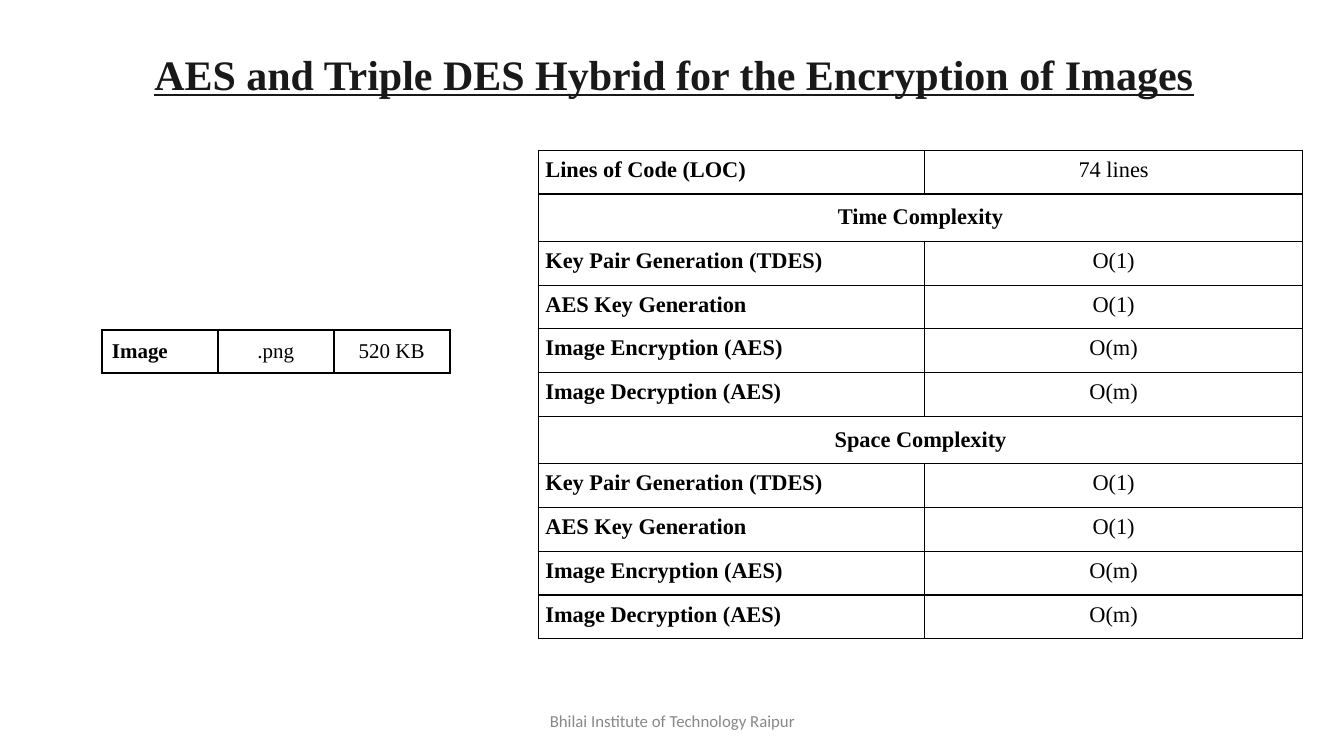
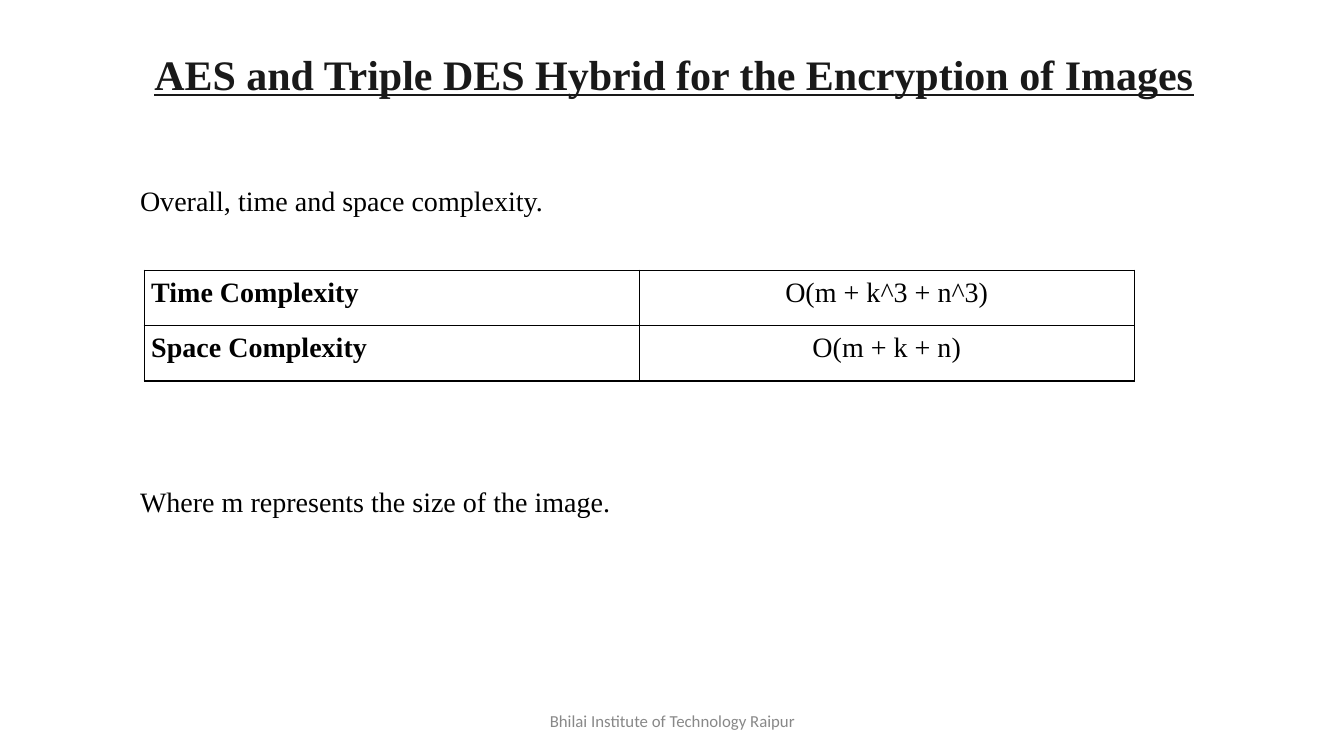
from lxml import etree
from pptx import Presentation
from pptx.dml.color import RGBColor
from pptx.enum.text import MSO_ANCHOR, MSO_AUTO_SIZE, PP_ALIGN
from pptx.oxml.ns import qn
from pptx.util import Inches, Pt

COLORS = {"title": "191919", "text": "000000", "border": "000000", "footer": "888888"}
SERIF, SANS = "Times New Roman", "Calibri"
TITLE = "AES and Triple DES Hybrid for the Encryption of Images"
FOOTER = "Bhilai Institute of Technology Raipur"
LEFT, CENTER, JUSTIFY = PP_ALIGN.LEFT, PP_ALIGN.CENTER, PP_ALIGN.JUSTIFY


class Deck:
    def __init__(self):
        self.prs = Presentation()
        self.prs.slide_width, self.prs.slide_height = Inches(13.33), Inches(7.5)
        self.s = None

    def add_slide(self, title):
        self.s = self.prs.slides.add_slide(self.prs.slide_layouts[5])
        sp = self.s.shapes.title
        sp.left, sp.top = Inches(1.43), Inches(0.38)
        sp.width, sp.height = Inches(11.16), Inches(0.63)
        self.fill_frame(sp.text_frame, title, 30, "title", bold=True, underline=True)
        self.add_text(FOOTER, 4.42, 6.95, 4.5, 0.4, 12, "footer", font=SANS,
                      align=CENTER, anchor=MSO_ANCHOR.MIDDLE, inset=0.05)

    def fill_frame(self, tf, text, size, color="text", anchor=MSO_ANCHOR.TOP,
                   inset=0.1, **style):
        frame = {"word_wrap": True, "auto_size": MSO_AUTO_SIZE.NONE,
                 "vertical_anchor": anchor,
                 "margin_left": Inches(0.1), "margin_right": Inches(0.1),
                 "margin_top": Inches(inset), "margin_bottom": Inches(inset)}
        for name, value in frame.items():
            setattr(tf, name, value)
        self.fill_paragraph(tf.paragraphs[0], text, size, color, **style)

    def fill_paragraph(self, p, text, size, color="text", font=SERIF, align=LEFT,
                       spacing=1.0, **style):
        p.alignment, p.line_spacing = align, spacing
        r = p.add_run()
        r.text = text
        for name, value in {"name": font, "size": Pt(size), **style}.items():
            setattr(r.font, name, value)
        r.font.color.rgb = RGBColor.from_string(COLORS[color])

    def add_text(self, text, x, y, w, h, size, color="text", **style):
        sp = self.s.shapes.add_textbox(Inches(x), Inches(y), Inches(w), Inches(h))
        self.fill_frame(sp.text_frame, text, size, color, **style)

    def add_grid(self, rows, x, y, col_widths, row_heights, size,
                 inset=0.07, border=1, label_align=LEFT):
        """Draw rows of a bold label and centred values; a lone label spans its row."""
        frame = self.s.shapes.add_table(
            len(rows), len(col_widths), Inches(x), Inches(y),
            Inches(sum(col_widths)), Inches(sum(row_heights)))
        table = frame.table
        table.first_row = table.horz_banding = False
        for column, width in zip(table.columns, col_widths):
            column.width = Inches(width)
        for row, height, values in zip(table.rows, row_heights, rows):
            row.height = Inches(height)
            cells = list(row.cells)
            for cell in cells:
                self.style_cell(cell, inset, border)
            heading = len(values) == 1
            if heading:
                cells[0].merge(cells[-1])
            for i, (cell, value) in enumerate(zip(cells, values)):
                self.fill_paragraph(cell.text_frame.paragraphs[0], value, size,
                                    align=CENTER if heading or i else label_align,
                                    spacing=1.15 if heading else 1.0, bold=i == 0)

    def style_cell(self, cell, inset, border):
        cell.fill.background()
        for side in ("left", "right", "top", "bottom"):
            setattr(cell, f"margin_{side}", Inches(inset))
        tcPr = cell._tc.get_or_add_tcPr()
        for i, tag in enumerate(("a:lnL", "a:lnR", "a:lnT", "a:lnB")):
            ln = etree.Element(qn(tag), w=str(Pt(border)))
            fill = etree.SubElement(ln, qn("a:solidFill"))
            etree.SubElement(fill, qn("a:srgbClr"), val=COLORS["border"])
            tcPr.insert(i, ln)


def main():
    deck = Deck()

    deck.add_slide(TITLE)
    steps = [("Key Pair Generation (TDES)", "O(1)"), ("AES Key Generation", "O(1)"),
             ("Image Encryption (AES)", "O(m)"), ("Image Decryption (AES)", "O(m)")]
    rows = [("Lines of Code (LOC)", "74 lines"),
            ("Time Complexity",), *steps,
            ("Space Complexity",), *steps]
    heading_height, table_height = 0.47, 4.85
    headings = sum(len(row) == 1 for row in rows)
    step_height = (table_height - headings * heading_height) / (len(rows) - headings)
    heights = [heading_height if len(row) == 1 else step_height for row in rows]
    deck.add_grid(rows, 5.34, 1.49, [3.83, 3.75], heights, 16)
    deck.add_grid([("Image", ".png", "520 KB")], 1.01, 3.27, [1.15] * 3, [0.42], 15,
                  inset=0.1, border=1.5)

    deck.add_slide(TITLE)
    deck.add_text("Overall, time and space complexity.", 1.29, 1.67, 10.51, 0.54, 20,
                  align=JUSTIFY, spacing=1.15)
    deck.add_grid([("Time Complexity", "O(m + k^3 + n^3)"), ("Space Complexity", "O(m + k + n)")],
                  1.43, 2.68, [4.91] * 2, [0.55] * 2, 20, label_align=JUSTIFY)
    deck.add_text("Where m represents the size of the image.", 1.29, 4.54, 10.51, 0.54, 20,
                  align=JUSTIFY, spacing=1.5)

    deck.prs.save("out.pptx")


if __name__ == "__main__":
    main()
